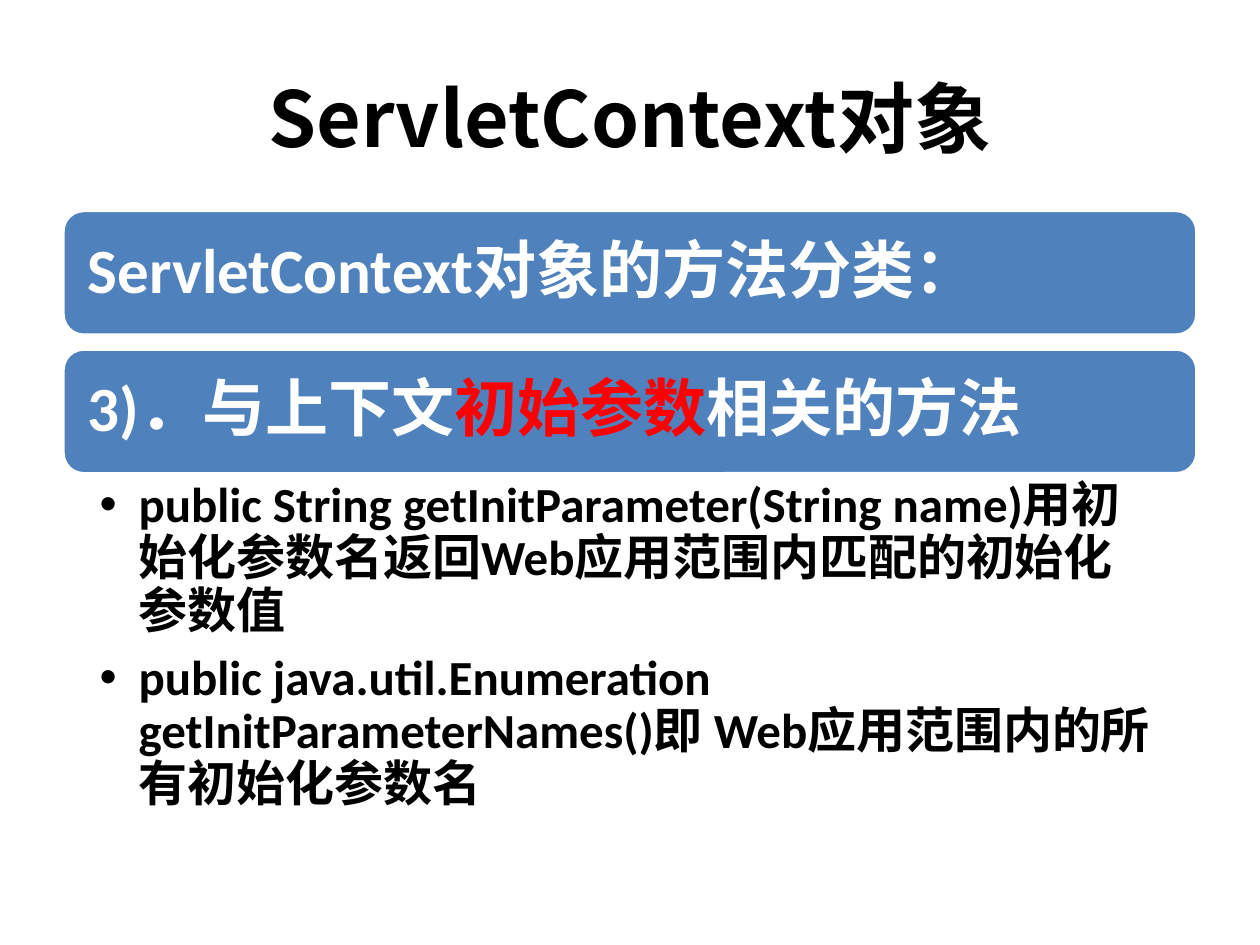
import pptx
import pptx.dml.color
import pptx.enum.shapes
import pptx.enum.text
import pptx.oxml
import pptx.oxml.ns
import pptx.util
from pptx.dml.color import RGBColor
from pptx.util import Inches

BLACK = RGBColor(0x00, 0x00, 0x00)
WHITE = RGBColor(0xFF, 0xFF, 0xFF)
RED = RGBColor(0xFF, 0x00, 0x00)
BLUE = RGBColor(0x4F, 0x81, 0xBD)

TITLE = "ServletContext对象"
BARS = [
    [("ServletContext对象的方法分类：", WHITE)],
    [("3)．与上下文", WHITE), ("初始参数", RED), ("相关的方法", WHITE)],
]
METHODS = [
    "public String getInitParameter(String name)用初始化参数名返回Web应用范围内匹配的初始化参数值",
    "public java.util.Enumeration getInitParameterNames()即 Web应用范围内的所有初始化参数名",
]

LEFT, WIDTH = 0.5, 9
BAR_TOP, BAR_HEIGHT, BAR_STEP = 1.67, 0.99, 1.1
LIST_TOP = BAR_TOP + BAR_STEP * (len(BARS) - 1) + BAR_HEIGHT
LIST_HEIGHT = 2.93
HANGING = Inches(0.31)


def place(shape, top, height):
    shape.left, shape.top = Inches(LEFT), Inches(top)
    shape.width, shape.height = Inches(WIDTH), Inches(height)


def set_frame(frame, anchor, left, right, vertical):
    frame.word_wrap = True
    frame.auto_size = pptx.enum.text.MSO_AUTO_SIZE.NONE
    frame.vertical_anchor = anchor
    frame.margin_left, frame.margin_right = Inches(left), Inches(right)
    frame.margin_top = frame.margin_bottom = Inches(vertical)


def set_font(para, name, size):
    para.font.name = name
    para.font.size = pptx.util.Pt(size)
    para.font.bold = True
    para.font.color.rgb = BLACK


def add_bullet(para):
    properties = para._p.get_or_add_pPr()
    properties.set("marL", str(HANGING))
    properties.set("indent", str(-HANGING))
    bullet = pptx.oxml.parse_xml(
        f'<a:buChar {pptx.oxml.ns.nsdecls("a")} char="•"/>')
    properties.insert_element_before(
        bullet, "a:tabLst", "a:defRPr", "a:extLst")


deck = pptx.Presentation()
deck.slide_width, deck.slide_height = Inches(10), Inches(7.5)
page = deck.slides.add_slide(deck.slide_layouts[1])
anchors = pptx.enum.text.MSO_ANCHOR

title = page.shapes.title
place(title, 0.3, 1.25)
title.text_frame.text = TITLE
title.text_frame.vertical_anchor = anchors.MIDDLE
heading = title.text_frame.paragraphs[0]
heading.alignment = pptx.enum.text.PP_ALIGN.CENTER
set_font(heading, "Noto Sans CJK JP", 44)

for index, pieces in enumerate(BARS):
    bar = page.shapes.add_shape(
        pptx.enum.shapes.MSO_SHAPE.ROUNDED_RECTANGLE, 0, 0, 0, 0)
    place(bar, BAR_TOP + index * BAR_STEP, BAR_HEIGHT)
    bar.shadow.inherit = False
    bar.fill.solid()
    bar.fill.fore_color.rgb = BLUE
    bar.line.color.rgb = WHITE
    bar.line.width = pptx.util.Pt(2)
    set_frame(bar.text_frame, anchors.MIDDLE, 0.15, 0.15, 0.15)
    para = bar.text_frame.paragraphs[0]
    para.alignment = pptx.enum.text.PP_ALIGN.LEFT
    para.line_spacing = 0.9
    set_font(para, "Calibri", 36)
    for text, color in pieces:
        span = para.add_run()
        span.text = text
        span.font.color.rgb = color

body = page.placeholders[1]
place(body, LIST_TOP, LIST_HEIGHT)
set_frame(body.text_frame, anchors.TOP, 0.29, 0.28, 0.05)
body.text_frame.text = "\n".join(METHODS)
for para in body.text_frame.paragraphs:
    para.level = 1
    para.line_spacing = 0.9
    para.space_before = pptx.util.Pt(0)
    para.space_after = pptx.util.Pt(8)
    set_font(para, "Calibri", 28)
    add_bullet(para)

deck.save("out.pptx")
